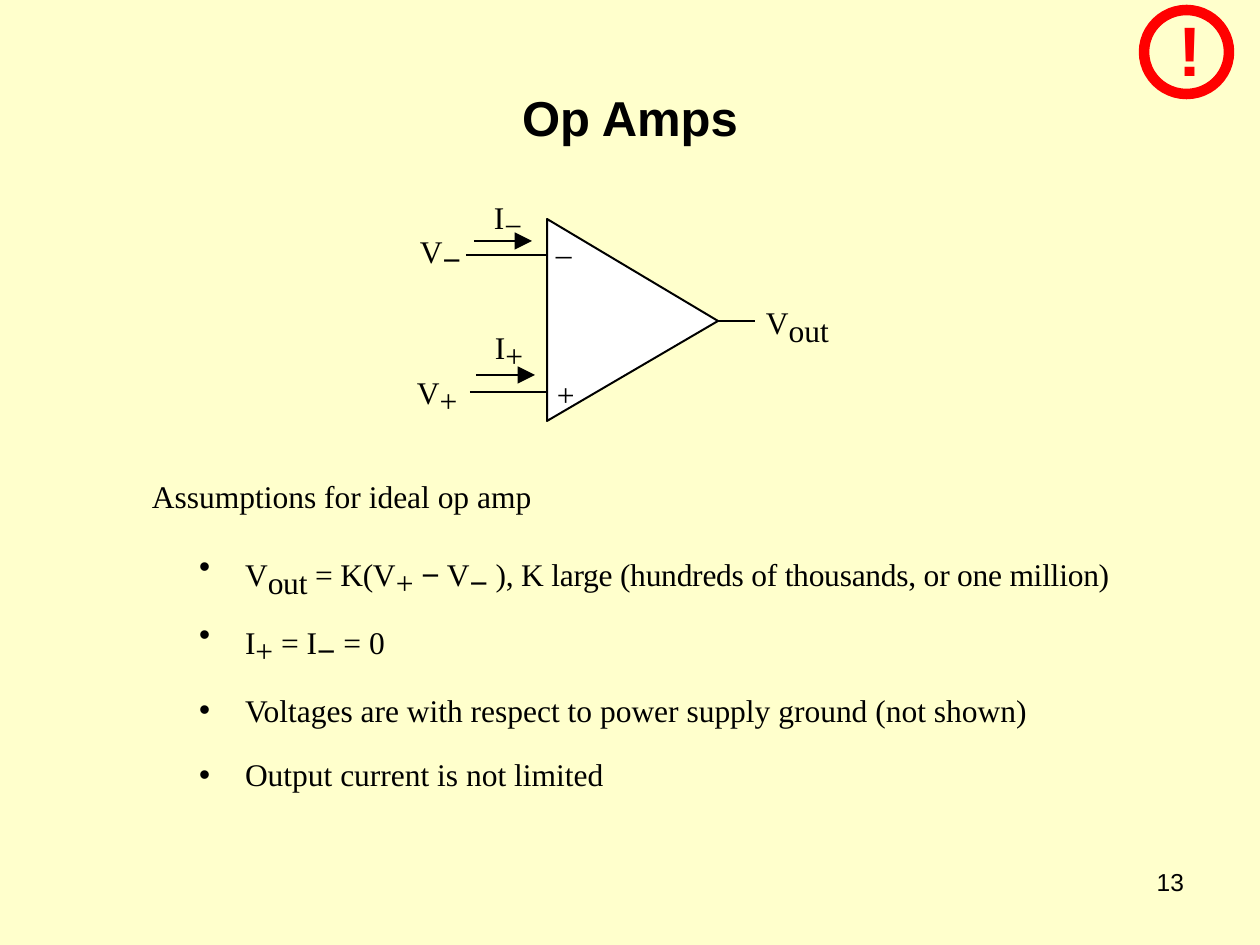
from itertools import groupby

from lxml.etree import SubElement
from pptx import Presentation
from pptx.dml.color import RGBColor
from pptx.enum.shapes import MSO_CONNECTOR, MSO_SHAPE
from pptx.enum.text import MSO_ANCHOR, MSO_AUTO_SIZE, PP_ALIGN
from pptx.oxml.ns import qn
from pptx.util import Pt

EMU_PER_PX = 914400 / 126
COLORS = {"page": "FFFFCC", "ink": "000000", "amp": "FFFFFF", "alert": "FF0000"}
SERIF, SANS = "Times New Roman", "Arial"
SUBSCRIPT_SIZE = 31  # drawn at 58 %, so it shows as large as 18 pt body text
SUBSCRIPT_SHIFT = "-14000"
LINE_PITCH = Pt(21)  # fixed, so that subscripts do not spread the lines

ASSUMPTIONS = [  # text between bars is subscript; points before; tracking
    ("V|out| = K(V|+| − V|−| ), K large (hundreds of thousands, or one million)", 28, -13),
    ("I|+| = I|−| = 0", 18, 0),
    ("Voltages are with respect to power supply ground (not shown)", 13, 0),
    ("Output current is not limited", 16, 0),
]
LABELS = [  # text, left, top, font of the minus sign
    ("–", 556, 235, SERIF),
    ("+", 557, 376, SERIF),
    ("V|−|", 420, 241, SANS),
    ("V|+|", 417, 382, SANS),
    ("V|out|", 766, 312, SANS),
    ("I|−|", 494, 207, SERIF),
    ("I|+|", 495, 337, SANS),
]
WIRES = [(466, 255, 547, 255), (470, 392, 547, 392), (718, 321, 755, 321)]
CURRENTS = [(474, 241, 532, 241), (476, 375, 535, 375)]


def px(length):
    return round(length * EMU_PER_PX)


def color(name):
    return RGBColor.from_string(COLORS[name])


def place(shape, left, top, width, height):
    shape.left, shape.top = px(left), px(top)
    shape.width, shape.height = px(width), px(height)


def write(para, text, *, font=SERIF, size=18, ink="ink", bold=False, pitch=1.0,
          align=PP_ALIGN.LEFT, before=0, tracking=0, minus_font=SANS):
    """Fill a paragraph; parts between bars become subscripts."""
    para.alignment = align
    para.line_spacing = pitch
    para.space_before, para.space_after = Pt(before), Pt(0)
    for number, part in enumerate(text.split("|")):
        subscript = number % 2 == 1
        for is_minus, letters in groupby(part, lambda letter: letter == "−"):
            span = para.add_run()
            span.text = "".join(letters)
            span.font.name = minus_font if is_minus else font
            span.font.size = Pt(SUBSCRIPT_SIZE if subscript else size)
            span.font.bold = bold
            span.font.color.rgb = color(ink)
            if tracking:
                span.font._element.set("spc", str(tracking))
            if subscript:
                span.font._element.set("baseline", SUBSCRIPT_SHIFT)


def clear_margins(frame):
    frame.margin_left = frame.margin_right = 0
    frame.margin_top = frame.margin_bottom = 0


def add_label(page, text, left, top, width=100, height=38, **text_format):
    box = page.shapes.add_textbox(px(left), px(top), px(width), px(height))
    clear_margins(box.text_frame)
    box.text_frame.word_wrap = True
    write(box.text_frame.paragraphs[0], text, **text_format)


def add_line(page, start_x, start_y, end_x, end_y, weight=1.13, arrow=False):
    line = page.shapes.add_connector(
        MSO_CONNECTOR.STRAIGHT, px(start_x), px(start_y), px(end_x), px(end_y))
    line.line.color.rgb = color("ink")
    line.line.width = Pt(weight)
    if arrow:
        SubElement(line.line._get_or_add_ln(), qn("a:tailEnd"),
                   type="triangle", w="lg", len="lg")
    SubElement(line._element.spPr, qn("a:effectLst"))


def add_amplifier(page):
    builder = page.shapes.build_freeform(px(718), px(321))
    builder.add_line_segments([(px(547), px(219)), (px(547), px(421))], close=True)
    triangle = builder.convert_to_shape()
    triangle.shadow.inherit = False
    triangle.fill.solid()
    triangle.fill.fore_color.rgb = color("amp")
    triangle.line.color.rgb = color("ink")
    triangle.line.width = Pt(1.13)


def add_alert(page):
    add_label(page, "!", 1179, 7, 30, 84, font=SANS, size=40, ink="alert", bold=True)
    ring = page.shapes.add_shape(MSO_SHAPE.OVAL, px(1144), px(10), px(85), px(84))
    ring.shadow.inherit = False
    ring.fill.background()
    ring.line.color.rgb = color("alert")
    ring.line.width = Pt(6)


def format_bullet(para, left=0, hanging=0, character=None):
    properties = para._p.get_or_add_pPr()
    properties.set("marL", str(px(left)))
    properties.set("indent", str(-px(hanging)))
    if character:
        SubElement(properties, qn("a:buFont"), typeface=SANS)
        SubElement(properties, qn("a:buChar"), char=character)
    else:
        SubElement(properties, qn("a:buNone"))


def fill_title(title):
    place(title, 63, 38, 1134, 158)
    title.text_frame.vertical_anchor = MSO_ANCHOR.MIDDLE
    write(title.text_frame.paragraphs[0], "Op Amps", font=SANS, size=28,
          bold=True, align=PP_ALIGN.CENTER)


def fill_assumptions(body):
    place(body, 152, 478, 1020, 330)
    frame = body.text_frame
    clear_margins(frame)
    frame.auto_size = MSO_AUTO_SIZE.NONE
    frame.vertical_anchor = MSO_ANCHOR.TOP
    heading = frame.paragraphs[0]
    write(heading, "Assumptions for ideal op amp", pitch=LINE_PITCH)
    format_bullet(heading)
    for text, before, tracking in ASSUMPTIONS:
        para = frame.add_paragraph()
        write(para, text, before=before, tracking=tracking, pitch=LINE_PITCH)
        format_bullet(para, left=93, hanging=46, character="•")


def main():
    deck = Presentation()
    deck.slide_width, deck.slide_height = px(1260), px(945)
    page = deck.slides.add_slide(deck.slide_layouts[1])
    page.background.fill.solid()
    page.background.fill.fore_color.rgb = color("page")

    fill_title(page.shapes.title)
    fill_assumptions(page.placeholders[1])
    add_amplifier(page)
    for wire in WIRES:
        add_line(page, *wire)
    for current in CURRENTS:
        add_line(page, *current, weight=1.5, arrow=True)
    for text, left, top, minus_font in LABELS:
        add_label(page, text, left, top, minus_font=minus_font, pitch=LINE_PITCH)
    add_alert(page)
    add_label(page, "13", 1084, 867, font=SANS, size=14, align=PP_ALIGN.RIGHT)
    deck.save("out.pptx")


if __name__ == "__main__":
    main()
